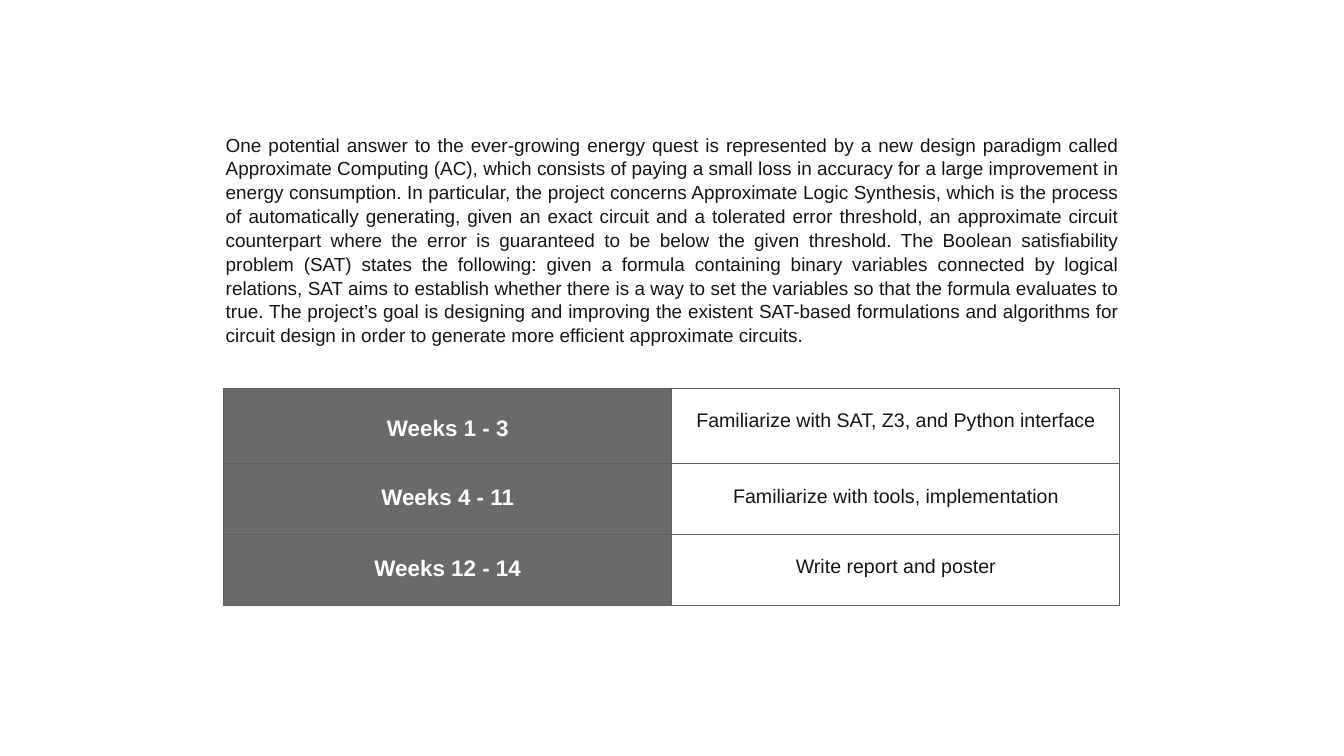
from lxml import etree
from pptx import Presentation
from pptx.dml.color import RGBColor
from pptx.enum import text
from pptx.oxml import ns
from pptx.util import Inches, Pt

COLORS = {"ink": "151515", "week": "6A6A6A", "white": "FFFFFF", "border": "5E5E5E"}
SUMMARY_SENTENCES = [
    "One potential answer to the ever-growing energy quest is represented by a new design "
    "paradigm called Approximate Computing (AC), which consists of paying a small loss in "
    "accuracy for a large improvement in energy consumption.",
    "In particular, the project concerns Approximate Logic Synthesis, which is the process "
    "of automatically generating, given an exact circuit and a tolerated error threshold, "
    "an approximate circuit counterpart where the error is guaranteed to be below the given "
    "threshold.",
    "The Boolean satisfiability problem (SAT) states the following: given a formula "
    "containing binary variables connected by logical relations, SAT aims to establish "
    "whether there is a way to set the variables so that the formula evaluates to true.",
    "The project’s goal is designing and improving the existent SAT-based formulations and "
    "algorithms for circuit design in order to generate more efficient approximate circuits.",
]
# Weeks, task, row height, top margins of the two cells
SCHEDULE = [
    ("Weeks 1 - 3", "Familiarize with SAT, Z3, and Python interface", 1.5, (0.56, 0.43)),
    ("Weeks 4 - 11", "Familiarize with tools, implementation", 1.4, (0.43, 0.43)),
    ("Weeks 12 - 14", "Write report and poster", 1.4, (0.43, 0.43)),
]
COLUMN_STYLES = [
    {"fill": "week", "color": "white", "size": 32, "bold": True},
    {"fill": "white", "color": "ink", "size": 28, "bold": False},
]


def write(paragraph, words, align, color, size, bold=False):
    paragraph.alignment = align
    run = paragraph.add_run()
    run.text = words
    for name, value in {"name": "Arial", "size": Pt(size), "bold": bold}.items():
        setattr(run.font, name, value)
    run.font.color.rgb = RGBColor.from_string(COLORS[color])


def add_borders(cell):
    properties = cell._tc.get_or_add_tcPr()
    for side in ("lnL", "lnR", "lnT", "lnB"):
        line = etree.SubElement(properties, ns.qn(f"a:{side}"), w=str(Pt(1)))
        fill = etree.SubElement(line, ns.qn("a:solidFill"))
        etree.SubElement(fill, ns.qn("a:srgbClr"), val=COLORS["border"])


prs = Presentation()
prs.slide_width, prs.slide_height = Inches(26.67), Inches(15)
slide = prs.slides.add_slide(prs.slide_layouts[6])

# Project summary
summary = slide.shapes.add_textbox(
    Inches(4.42), Inches(2.56), Inches(17.83), Inches(4.51)
).text_frame
summary.word_wrap = True
for side in ("left", "right", "top", "bottom"):
    setattr(summary, f"margin_{side}", Inches(0.06))
summary.paragraphs[0].line_spacing = 1.05
write(summary.paragraphs[0], " ".join(SUMMARY_SENTENCES), text.PP_ALIGN.JUSTIFY, "ink", 27)

# Schedule
schedule = slide.shapes.add_table(
    len(SCHEDULE), 2, Inches(4.44), Inches(7.7), Inches(17.78), Inches(4.3)
).table
schedule.first_row = schedule.horz_banding = False
for row, (weeks, task, height, top_margins) in enumerate(SCHEDULE):
    schedule.rows[row].height = Inches(height)
    for column, words in enumerate((weeks, task)):
        style = COLUMN_STYLES[column]
        cell = schedule.cell(row, column)
        cell.margin_top = Inches(top_margins[column])
        cell.vertical_anchor = text.MSO_ANCHOR.TOP
        add_borders(cell)
        cell.fill.solid()
        cell.fill.fore_color.rgb = RGBColor.from_string(COLORS[style["fill"]])
        write(cell.text_frame.paragraphs[0], words, text.PP_ALIGN.CENTER,
              style["color"], style["size"], style["bold"])

prs.save("out.pptx")
